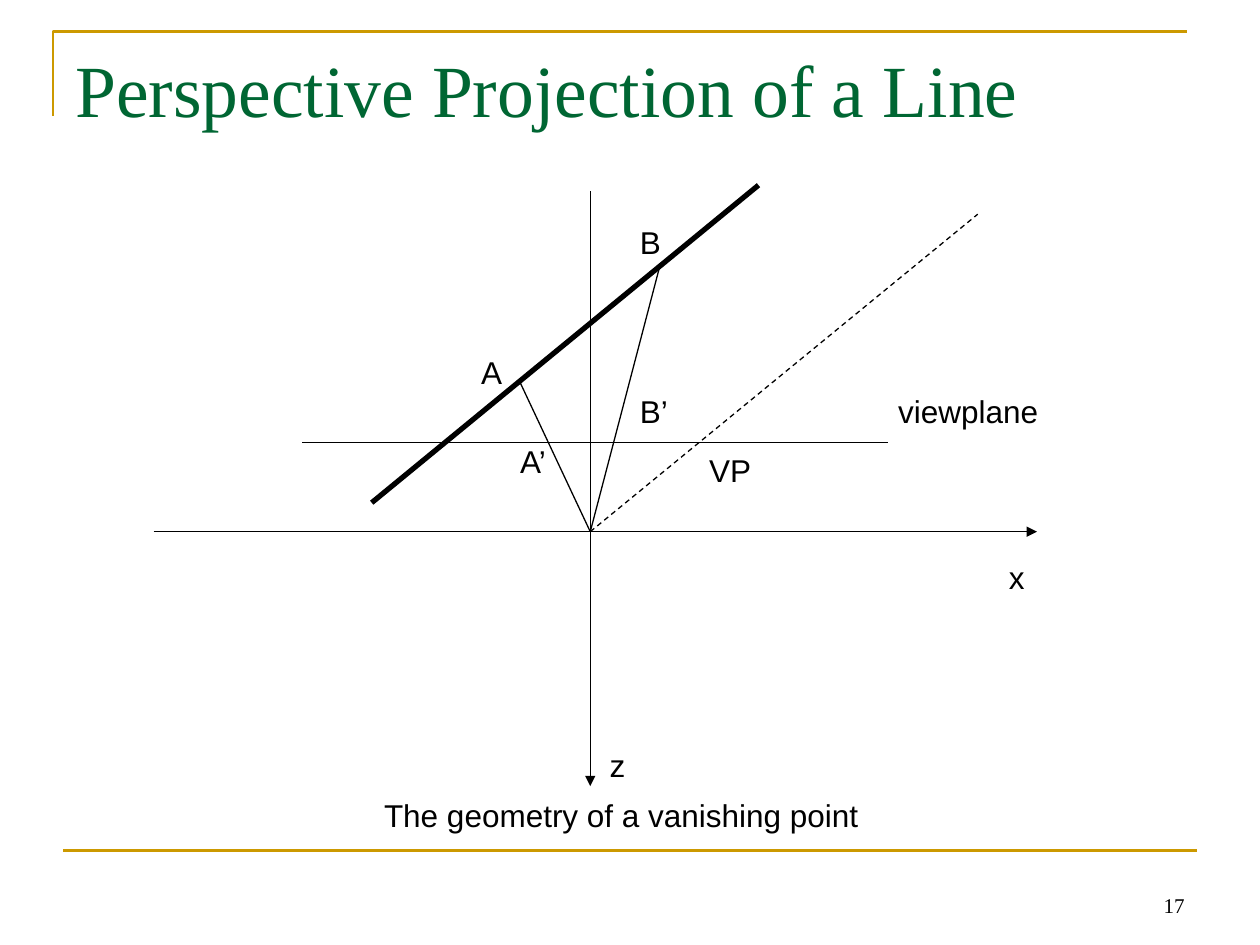
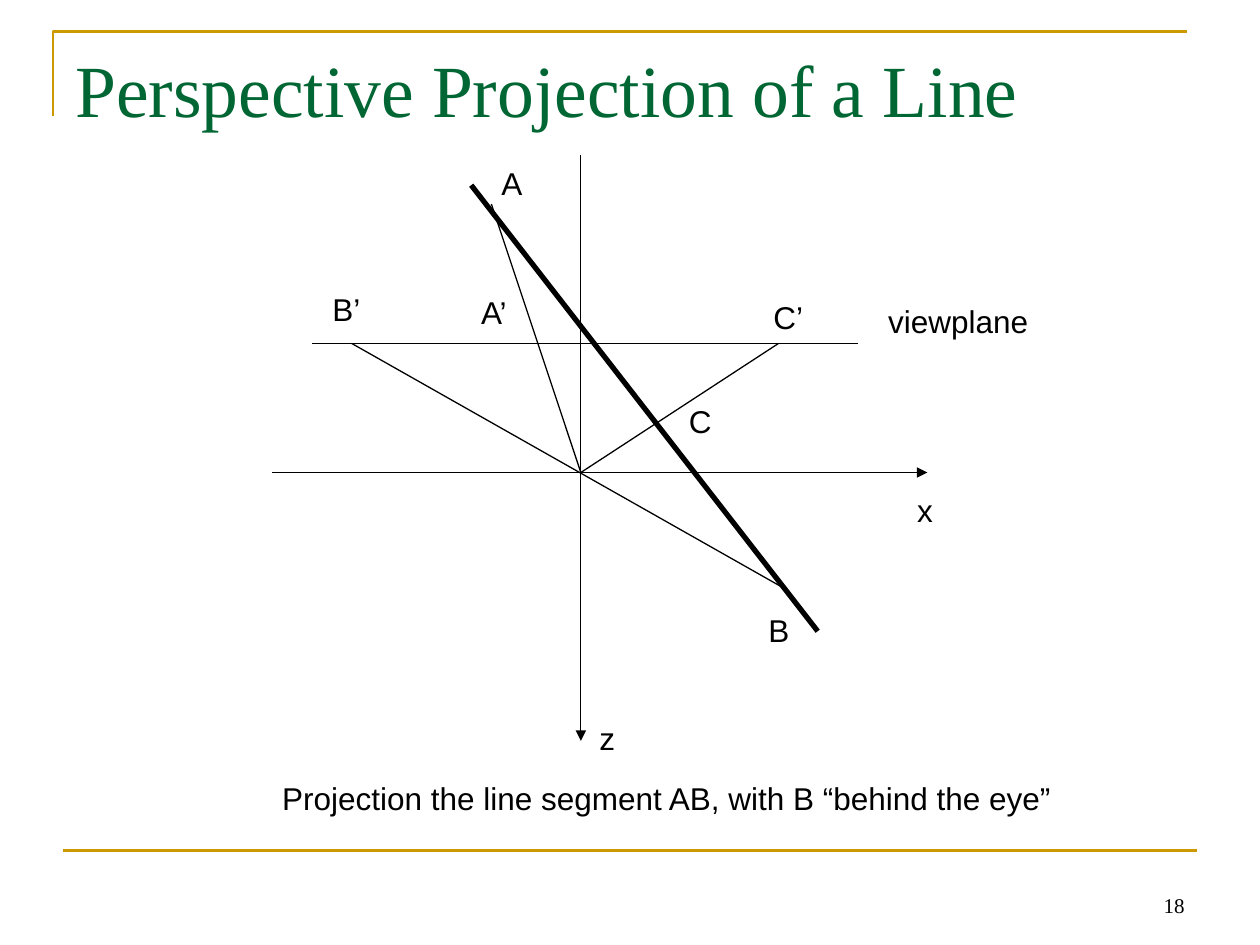
from dataclasses import dataclass
from typing import NamedTuple

from lxml.etree import SubElement
from pptx import Presentation
from pptx.dml.color import RGBColor
from pptx.enum.dml import MSO_LINE_DASH_STYLE as Dash
from pptx.enum.shapes import MSO_CONNECTOR as Connector
from pptx.enum.text import MSO_ANCHOR as Anchor, MSO_AUTO_SIZE as AutoSize, PP_ALIGN as Align
from pptx.oxml.ns import qn
from pptx.slide import Slide
from pptx.util import Inches, Pt

GOLD = RGBColor(0xCC, 0x99, 0x00)
GREEN = RGBColor(0x00, 0x66, 0x33)
BLACK = RGBColor(0x00, 0x00, 0x00)
SERIF = "Times New Roman"
SANS = "Arial"

SLIDE_WIDTH, SLIDE_HEIGHT = Inches(10), Inches(7.5)
COLUMN = SLIDE_WIDTH / 100
ROW = SLIDE_HEIGHT / 75

TITLE = "Perspective Projection of a Line"
LABEL_HEIGHT = 4
LABEL_WIDTHS = {
    "x": 3.3, "z": 3.3, "A": 3.8, "B": 3.8, "C": 4,
    "A’": 4.4, "B’": 4.4, "C’": 4.6, "VP": 5.6, "viewplane": 13.4,
}


class Point(NamedTuple):
    column: float
    row: float


class Area(NamedTuple):
    column: float
    row: float
    width: float
    height: float


class Style(NamedTuple):
    font: str
    size: float
    color: RGBColor
    align: Align = Align.LEFT
    anchor: Anchor = Anchor.TOP
    wrap: bool = True


class Stroke(NamedTuple):
    color: RGBColor = BLACK
    width: float = 0.75
    dashed: bool = False
    arrow: bool = False


class Segment(NamedTuple):
    start: Point
    end: Point
    stroke: Stroke


class Label(NamedTuple):
    text: str
    corner: Point


@dataclass(frozen=True)
class Diagram:
    number: int
    origin: Point
    x_axis: tuple[float, float]
    z_axis: tuple[float, float]
    viewplane: tuple[float, float, float]
    segments: list[Segment]
    labels: list[Label]
    caption: str
    caption_area: Area


TITLE_STYLE = Style(SERIF, 42, GREEN)
NUMBER_STYLE = Style(SERIF, 12, BLACK, Align.RIGHT, Anchor.BOTTOM)
LABEL_STYLE = Style(SANS, 18, BLACK, wrap=False)

THIN = Stroke()
THICK = Stroke(width=3)
DASHED = Stroke(dashed=True)
AXIS = Stroke(arrow=True)
FRAME = Stroke(GOLD, 1.5)

VANISHING_ORIGIN = Point(46.85, 42.2)
BEHIND_ORIGIN = Point(46.1, 37.5)

DIAGRAMS = [
    Diagram(
        number=17,
        origin=VANISHING_ORIGIN,
        x_axis=(12.2, 82.3),
        z_axis=(15.2, 62.4),
        viewplane=(24, 70.5, 35.1),
        segments=[
            Segment(VANISHING_ORIGIN, Point(41.3, 30.4), THIN),
            Segment(Point(29.5, 39.9), Point(60.2, 14.7), THICK),
            Segment(VANISHING_ORIGIN, Point(52.4, 21), THIN),
            Segment(VANISHING_ORIGIN, Point(77.6, 17), DASHED),
        ],
        labels=[
            Label("x", Point(79.1, 43.8)),
            Label("z", Point(47.4, 58.7)),
            Label("viewplane", Point(70.3, 30.6)),
            Label("A", Point(37.2, 27.5)),
            Label("B", Point(49.8, 17.2)),
            Label("A’", Point(40.3, 34.6)),
            Label("B’", Point(49.8, 30.6)),
            Label("VP", Point(55.3, 35.3)),
        ],
        caption="The geometry of a vanishing point",
        caption_area=Area(29.5, 62.7, 40, LABEL_HEIGHT),
    ),
    Diagram(
        number=18,
        origin=BEHIND_ORIGIN,
        x_axis=(21.6, 73.6),
        z_axis=(12.3, 58.8),
        viewplane=(24.8, 68.1, 27.25),
        segments=[
            Segment(Point(62.6, 46.9), Point(27.9, 27.25), THIN),
            Segment(BEHIND_ORIGIN, Point(61.8, 27.25), THIN),
            Segment(Point(37.4, 14.7), Point(64.9, 50.1), THICK),
            Segment(BEHIND_ORIGIN, Point(39, 16.2), THIN),
        ],
        labels=[
            Label("x", Point(71.8, 38.5)),
            Label("z", Point(46.6, 56.6)),
            Label("viewplane", Point(69.5, 23.5)),
            Label("A", Point(38.8, 12.5)),
            Label("B", Point(60, 48)),
            Label("B’", Point(25.4, 22.5)),
            Label("A’", Point(37.2, 22.8)),
            Label("C’", Point(60.4, 23.2)),
            Label("C", Point(53.7, 31.4)),
        ],
        caption="Projection the line segment AB, with B “behind the eye”",
        caption_area=Area(21.4, 61.3, 63.5, LABEL_HEIGHT),
    ),
]


def across(columns: float) -> int:
    return round(columns * COLUMN)


def down(rows: float) -> int:
    return round(rows * ROW)


def add_segment(slide: Slide, segment: Segment) -> None:
    start, end, stroke = segment
    connector = slide.shapes.add_connector(
        Connector.STRAIGHT,
        across(start.column), down(start.row), across(end.column), down(end.row),
    )
    connector.line.color.rgb = stroke.color
    connector.line.width = Pt(stroke.width)
    if stroke.dashed:
        connector.line.dash_style = Dash.DASH
    properties = connector._element.spPr
    if stroke.arrow:
        SubElement(properties.find(qn("a:ln")), qn("a:tailEnd"), type="triangle")
    SubElement(properties, qn("a:effectLst"))


def add_text(slide: Slide, text: str, area: Area, style: Style) -> None:
    box = slide.shapes.add_textbox(
        across(area.column), down(area.row), across(area.width), down(area.height)
    )
    frame = box.text_frame
    frame.text = text
    frame.word_wrap = style.wrap
    frame.auto_size = AutoSize.NONE if style.wrap else AutoSize.SHAPE_TO_FIT_TEXT
    frame.vertical_anchor = style.anchor
    paragraph = frame.paragraphs[0]
    paragraph.alignment = style.align
    font = paragraph.runs[0].font
    font.name = style.font
    font.size = Pt(style.size)
    font.color.rgb = style.color


def add_frame(slide: Slide, number: int) -> None:
    builder = slide.shapes.build_freeform(across(4.2), down(9.2))
    builder.add_line_segments(
        [(across(4.2), down(2.5)), (across(94.2), down(2.5))], close=False
    )
    corner = builder.convert_to_shape()
    corner.shadow.inherit = False
    corner.fill.background()
    corner.line.color.rgb = FRAME.color
    corner.line.width = Pt(FRAME.width)
    add_segment(slide, Segment(Point(5, 67.5), Point(95, 67.5), FRAME))
    add_text(slide, str(number), Area(71.7, 68.3, 23.3, 5), NUMBER_STYLE)
    add_text(slide, TITLE, Area(5, 3, 90, 12.5), TITLE_STYLE)


def add_diagram(slide: Slide, diagram: Diagram) -> None:
    origin = diagram.origin
    x_start, x_end = diagram.x_axis
    z_start, z_end = diagram.z_axis
    plane_start, plane_end, plane_row = diagram.viewplane
    axes = [
        Segment(Point(x_start, origin.row), Point(x_end, origin.row), AXIS),
        Segment(Point(origin.column, z_start), Point(origin.column, z_end), AXIS),
        Segment(Point(plane_start, plane_row), Point(plane_end, plane_row), THIN),
    ]
    for segment in axes + diagram.segments:
        add_segment(slide, segment)
    for text, corner in diagram.labels:
        add_text(slide, text, Area(*corner, LABEL_WIDTHS[text], LABEL_HEIGHT), LABEL_STYLE)
    add_text(slide, diagram.caption, diagram.caption_area, LABEL_STYLE)


def main() -> None:
    deck = Presentation()
    deck.slide_width, deck.slide_height = SLIDE_WIDTH, SLIDE_HEIGHT
    blank = deck.slide_layouts[6]
    for diagram in DIAGRAMS:
        slide = deck.slides.add_slide(blank)
        add_frame(slide, diagram.number)
        add_diagram(slide, diagram)
    deck.save("out.pptx")


if __name__ == "__main__":
    main()
